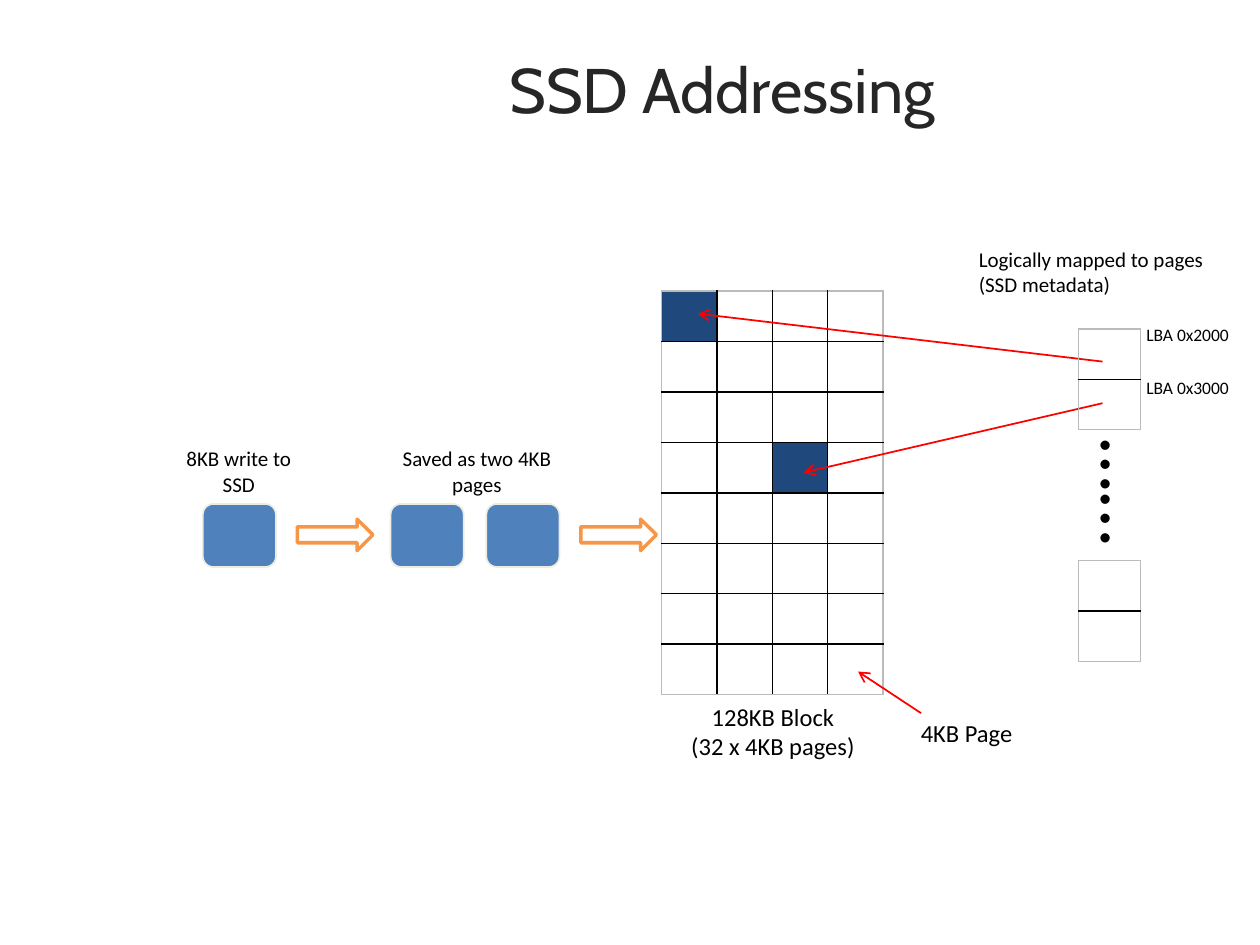
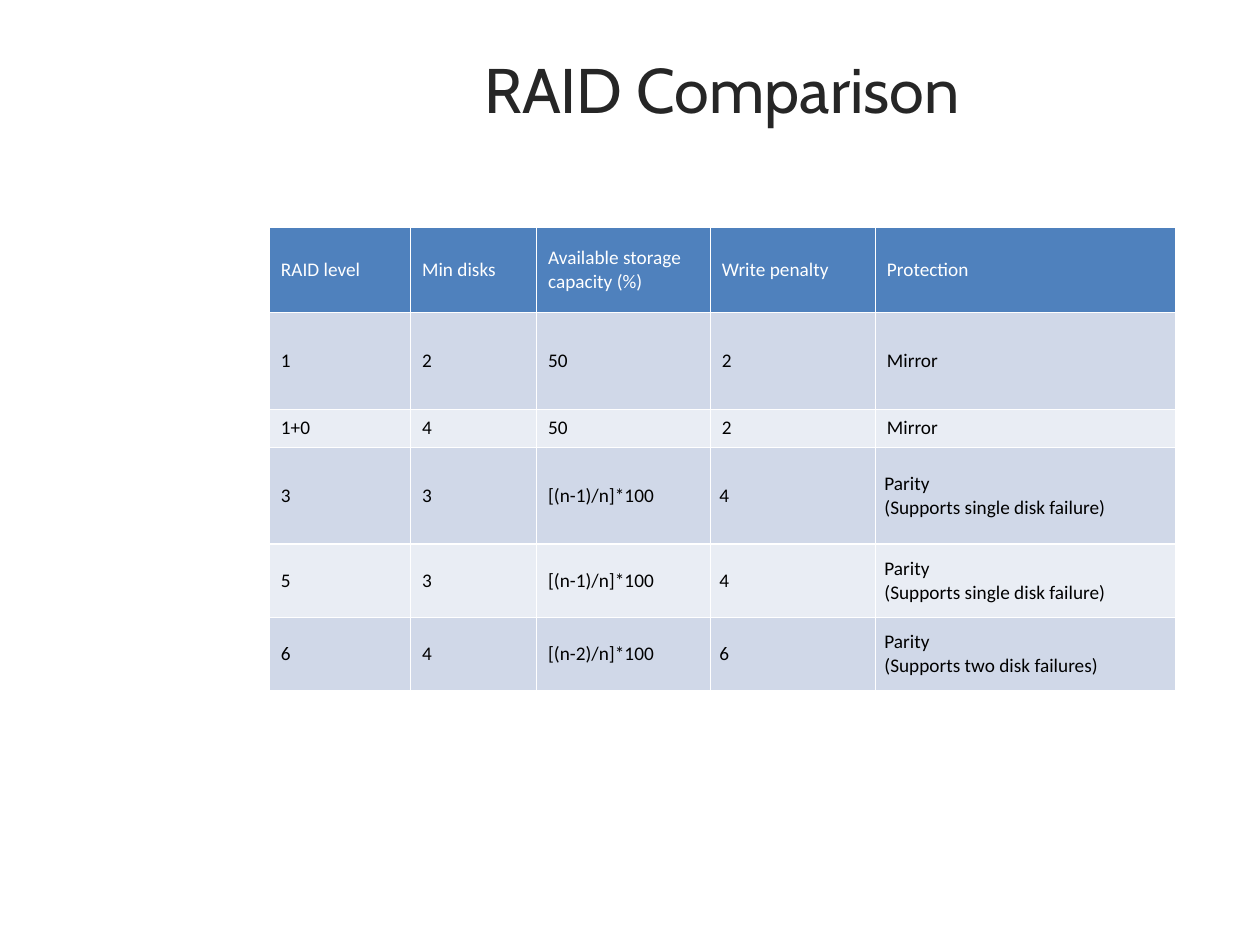
from lxml.etree import SubElement
from pptx import Presentation
from pptx.dml.color import RGBColor
from pptx.enum.shapes import MSO_CONNECTOR, MSO_SHAPE
from pptx.enum.text import MSO_ANCHOR, PP_ALIGN
from pptx.oxml.ns import qn
from pptx.util import Inches, Pt

BLACK = RGBColor(0x00, 0x00, 0x00)
WHITE = RGBColor(0xFF, 0xFF, 0xFF)
TITLE_GREY = RGBColor(0x26, 0x26, 0x26)
EDGE_GREY = RGBColor(0xBB, 0xBB, 0xBB)
BLUE = RGBColor(0x4F, 0x81, 0xBD)
NAVY = RGBColor(0x1F, 0x49, 0x7D)
CREAM = RGBColor(0xEE, 0xEC, 0xE1)
ORANGE = RGBColor(0xF7, 0x96, 0x46)
RED = RGBColor(0xFF, 0x00, 0x00)
BANDS = (RGBColor(0xD0, 0xD8, 0xE8), RGBColor(0xE9, 0xED, 0xF4))

TITLE_FONT, BODY_FONT = "Cabin", "Calibri"
TITLE_BOX = (2.14, 0.35, 7.18, 1.17)
PAGE_HEIGHT = 0.4

RAID_HEADER = ["RAID level", "Min disks", "Available storage capacity (%)", "Write penalty", "Protection"]
RAID_ROWS = [
    ["1", "2", "50", "2", "Mirror"],
    ["1+0", "4", "50", "2", "Mirror"],
    ["3", "3", "[(n-1)/n]*100", "4", "Parity\n(Supports single disk failure)"],
    ["5", "3", "[(n-1)/n]*100", "4", "Parity\n(Supports single disk failure)"],
    ["6", "4", "[(n-2)/n]*100", "6", "Parity\n(Supports two disk failures)"],
]


def style_text(tf, size, color=BLACK, font=BODY_FONT, align=PP_ALIGN.LEFT):
    for p in tf.paragraphs:
        p.alignment = align
        for r in p.runs:
            r.font.size = Pt(size)
            r.font.name = font
            r.font.color.rgb = color


def add_titled_slide(prs, title):
    s = prs.slides.add_slide(prs.slide_layouts[5])
    sp = s.shapes.title
    sp.left, sp.top, sp.width, sp.height = map(Inches, TITLE_BOX)
    sp.text_frame.text = title
    sp.text_frame.vertical_anchor = MSO_ANCHOR.TOP
    style_text(sp.text_frame, 36, TITLE_GREY, TITLE_FONT, PP_ALIGN.CENTER)
    return s


def add_label(s, text, box, size, align=PP_ALIGN.LEFT, wrap=False):
    sp = s.shapes.add_textbox(*map(Inches, box))
    sp.text_frame.word_wrap = wrap
    sp.text_frame.text = text
    style_text(sp.text_frame, size, align=align)
    return sp


def add_flow_shape(s, kind, box, fill, line, weight):
    sp = s.shapes.add_shape(kind, *map(Inches, box))
    sp.shadow.inherit = False
    sp.fill.solid()
    sp.fill.fore_color.rgb = fill
    sp.line.color.rgb = line
    sp.line.width = Pt(weight)


def add_pointer(s, start, end):
    line = s.shapes.add_connector(MSO_CONNECTOR.STRAIGHT, *map(Inches, start + end))
    line.line.color.rgb = RED
    line.line.width = Pt(1)
    SubElement(line.line._get_or_add_ln(), qn("a:tailEnd"), type="arrow")
    SubElement(line._element.spPr, qn("a:effectLst"))


def set_borders(cell, left, right, top, bottom):
    tcPr = cell._tc.get_or_add_tcPr()
    for side, color in zip("LRTB", (left, right, top, bottom)):
        ln = SubElement(tcPr, qn(f"a:ln{side}"), w=str(Pt(1)))
        fill = SubElement(ln, qn("a:solidFill"))
        SubElement(fill, qn("a:srgbClr"), val=str(color))


def add_plain_table(s, left, top, widths, heights):
    frame = s.shapes.add_table(len(heights), len(widths), Inches(left), Inches(top),
                               Inches(sum(widths)), Inches(sum(heights)))
    table = frame.table
    table.first_row = table.horz_banding = False
    for column, width in zip(table.columns, widths):
        column.width = Inches(width)
    for row, height in zip(table.rows, heights):
        row.height = Inches(height)
    return table


def add_page_grid(s, left, top, rows, cols, page_width, used=()):
    table = add_plain_table(s, left, top, [page_width] * cols, [PAGE_HEIGHT] * rows)
    for i in range(rows):
        for j in range(cols):
            cell = table.cell(i, j)
            at_edge = (j == 0, j == cols - 1, i == 0, i == rows - 1)
            set_borders(cell, *(EDGE_GREY if edge else BLACK for edge in at_edge))
            if (i, j) in used:
                cell.fill.solid()
                cell.fill.fore_color.rgb = NAVY
            else:
                cell.fill.background()


def add_write_flow(s, left, top):
    add_label(s, "8KB write to SSD", (left, top, 1.25, 0.5), 12, PP_ALIGN.CENTER, True)
    add_label(s, "Saved as two 4KB pages", (left + 1.64, top, 1.75, 0.5), 12, PP_ALIGN.CENTER, True)
    for x in (0.34, 1.83, 2.59):
        add_flow_shape(s, MSO_SHAPE.ROUNDED_RECTANGLE, (left + x, top + 0.51, 0.58, 0.5), BLUE, CREAM, 1)
    for x in (1.09, 3.34):
        add_flow_shape(s, MSO_SHAPE.RIGHT_ARROW, (left + x, top + 0.63, 0.6, 0.25), WHITE, ORANGE, 2)


def add_block(s, left, top):
    add_page_grid(s, left, top, 8, 4, 0.44, used={(0, 0), (3, 2)})
    add_label(s, "128KB Block\n(32 x 4KB pages)", (left + 0.13, top + 3.21, 1.51, 0.57), 14, PP_ALIGN.CENTER)
    add_label(s, "4KB Page", (left + 1.96, top + 3.34, 0.94, 0.34), 14)
    add_pointer(s, (left + 2.06, top + 3.35), (left + 1.56, top + 3.02))


def add_address_map(s, left, top):
    add_label(s, "Logically mapped to pages (SSD metadata)", (left, top, 2.17, 0.5), 12, wrap=True)
    for y in (0.7, 2.54):
        add_page_grid(s, left + 0.89, top + y, 2, 1, 0.49)
    for i, address in enumerate(("LBA 0x2000", "LBA 0x3000")):
        add_label(s, address, (left + 1.33, top + 0.61 + 0.42 * i, 0.87, 0.27), 10)
    dots = add_label(s, "……", (left + 0.79, top + 1.58, 1.05, 0.84), 44)
    dots.rotation = 90


def add_raid_table(s, left, top):
    table = add_plain_table(s, left, top, (1.12, 1, 1.38, 1.31, 2.38), (0.68, 0.77, 0.3, 0.77, 0.58, 0.58))
    for i, values in enumerate([RAID_HEADER] + RAID_ROWS):
        for j, value in enumerate(values):
            cell = table.cell(i, j)
            set_borders(cell, WHITE, WHITE, WHITE, WHITE)
            cell.fill.solid()
            cell.fill.fore_color.rgb = BANDS[(i - 1) % 2] if i else BLUE
            tight = i > 2 and j > 2
            cell.margin_left = cell.margin_right = Inches(0.07 if tight else 0.09)
            cell.margin_top = cell.margin_bottom = Inches(0 if tight else 0.05)
            cell.vertical_anchor = MSO_ANCHOR.MIDDLE
            cell.text_frame.text = value
            style_text(cell.text_frame, 11, BLACK if i else WHITE)


def build_ssd_slide(prs):
    s = add_titled_slide(prs, "SSD Addressing")
    add_write_flow(s, 1.27, 3.49)
    add_block(s, 5.25, 2.31)
    add_pointer(s, (8.75, 2.87), (5.54, 2.49))
    add_pointer(s, (8.75, 3.2), (6.38, 3.75))
    add_address_map(s, 7.67, 1.91)


def build_raid_slide(prs):
    s = add_titled_slide(prs, "RAID Comparison")
    add_raid_table(s, 2.14, 1.8)


def main():
    prs = Presentation()
    prs.slide_width, prs.slide_height = Inches(10), Inches(7.5)
    build_ssd_slide(prs)
    build_raid_slide(prs)
    prs.save("out.pptx")


if __name__ == "__main__":
    main()
